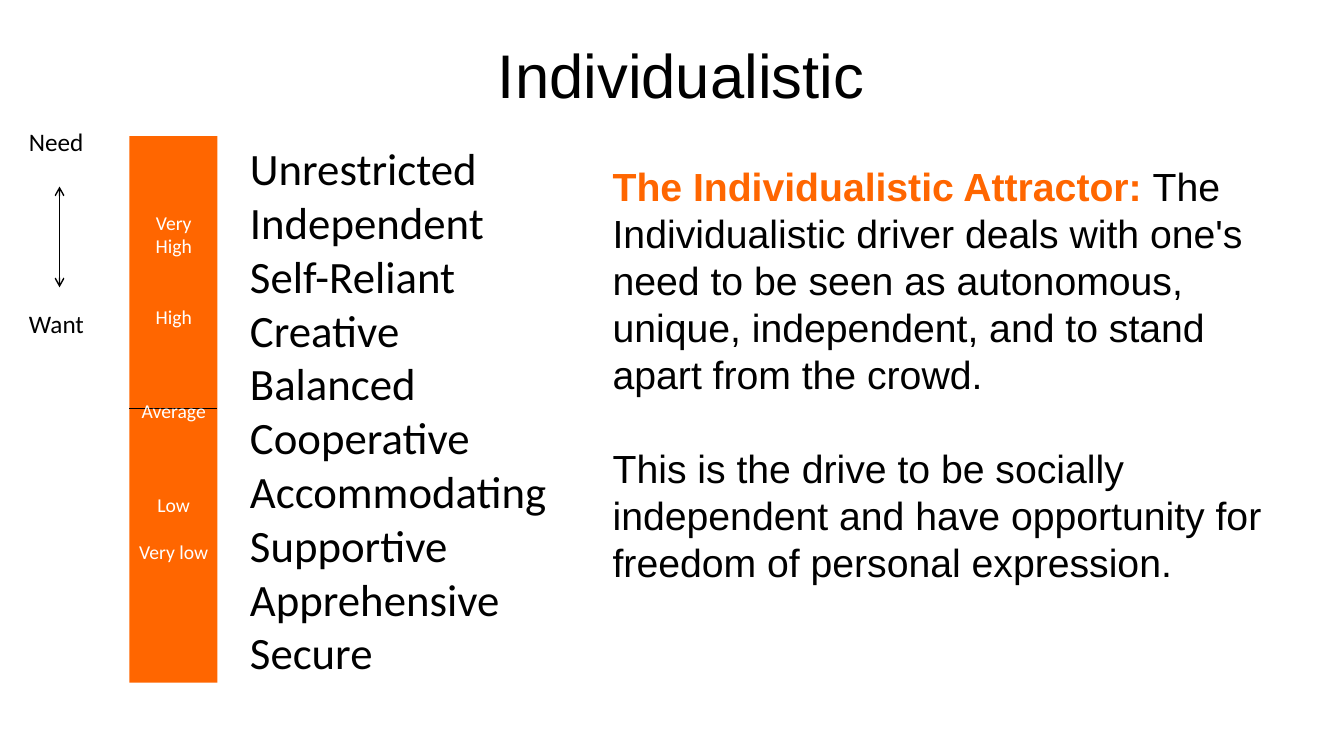
from lxml import etree
from pptx import Presentation
from pptx.dml.color import RGBColor
from pptx.enum.shapes import MSO_CONNECTOR as Connector, MSO_SHAPE as Shape
from pptx.enum.text import MSO_ANCHOR as Anchor, PP_ALIGN as Align
from pptx.oxml.ns import qn
from pptx.util import Cm, Pt

ORANGE = RGBColor(0xFF, 0x66, 0x00)
BLACK = RGBColor(0x00, 0x00, 0x00)
WHITE = RGBColor(0xFF, 0xFF, 0xFF)
TRAITS = ["Unrestricted", "Independent", "Self-Reliant", "Creative", "Balanced",
          "Cooperative", "Accommodating", "Supportive", "Apprehensive", "Secure"]
LEVELS = ["Very High", "High", "Average", "Low", "Very low"]
LEVEL_GAPS = [0, 2, 3, 3, 1]
DESCRIPTION = [
    [("The Individualistic Attractor: ", True),
     ("The Individualistic driver deals with one's need to be seen as autonomous, "
      "unique, independent, and to stand apart from the crowd.", False)],
    [("This is the drive to be socially independent and have opportunity for "
      "freedom of personal expression.", False)],
]


class SlideBuilder:
    heading_font = "Arial"
    label_font = "Calibri"
    line_pitch = 1.2

    def __init__(self, presentation):
        self.slide = presentation.slides.add_slide(presentation.slide_layouts[5])

    def style(self, paragraph, name, size, color, align=Align.LEFT):
        paragraph.alignment = align
        paragraph.font.name = name
        paragraph.font.size = Pt(size)
        paragraph.font.color.rgb = color

    def title(self, text, left, top, width, height):
        shape = self.slide.shapes.title
        shape.left, shape.top, shape.width, shape.height = map(Cm, (left, top, width, height))
        frame = shape.text_frame
        frame.text = text
        frame.word_wrap = False
        frame.vertical_anchor = Anchor.TOP
        self.style(frame.paragraphs[0], self.heading_font, 44, BLACK, Align.CENTER)

    def text_box(self, left, top, width, height, wrap):
        shape = self.slide.shapes.add_textbox(*map(Cm, (left, top, width, height)))
        shape.text_frame.word_wrap = wrap
        return shape.text_frame

    def labels(self, texts, left, top, width, height, size, color=BLACK,
               align=Align.LEFT, gaps=None, wrap=False):
        frame = self.text_box(left, top, width, height, wrap)
        frame.text = "\n".join(texts)
        for paragraph, gap in zip(frame.paragraphs, gaps or [0] * len(texts)):
            self.style(paragraph, self.label_font, size, color, align)
            if gap:
                paragraph.space_before = Pt(gap * size * self.line_pitch)

    def description(self, paragraphs, left, top, width, height, size):
        frame = self.text_box(left, top, width, height, True)
        for index, runs in enumerate(paragraphs):
            paragraph = frame.add_paragraph() if index else frame.paragraphs[0]
            self.style(paragraph, self.heading_font, size, BLACK)
            if index:
                paragraph.space_before = Pt(size * self.line_pitch)
            for text, highlighted in runs:
                run = paragraph.add_run()
                run.text = text
                if highlighted:
                    run.font.bold = True
                    run.font.color.rgb = ORANGE

    def bar(self, left, top, width, height):
        shape = self.slide.shapes.add_shape(
            Shape.RECTANGLE, *map(Cm, (left, top, width, height)))
        shape.shadow.inherit = False
        shape.fill.solid()
        shape.fill.fore_color.rgb = ORANGE
        shape.line.fill.background()

    def line(self, x1, y1, x2, y2, arrows=False):
        connector = self.slide.shapes.add_connector(
            Connector.STRAIGHT, *map(Cm, (x1, y1, x2, y2)))
        connector.line.color.rgb = BLACK
        connector.line.width = Pt(1)
        if arrows:
            outline = connector.line._get_or_add_ln()
            for end in ("a:headEnd", "a:tailEnd"):
                etree.SubElement(outline, qn(end), type="arrow")
        etree.SubElement(connector._element.spPr, qn("a:effectLst"))


def main():
    presentation = Presentation()
    presentation.slide_width = Cm(33.87)
    presentation.slide_height = Cm(19.05)
    builder = SlideBuilder(presentation)
    builder.title("Individualistic", 12.24, 0.81, 9.86, 2.13)
    builder.bar(3.26, 3.43, 2.22, 13.77)
    builder.line(3.26, 10.29, 5.48, 10.29)
    builder.labels(TRAITS, 6.05, 3.43, 8.08, 13.94, 32)
    builder.labels(LEVELS, 3.2, 5.18, 2.36, 8.64, 14, WHITE, Align.CENTER,
                   LEVEL_GAPS, True)
    builder.labels(["Need", "Want"], 0.48, 3.07, 1.93, 5.64, 18, gaps=[0, 5])
    builder.line(1.5, 4.7, 1.5, 7.24, arrows=True)
    builder.description(DESCRIPTION, 15.19, 3.96, 17.83, 11.02, 28)
    presentation.save("out.pptx")


if __name__ == "__main__":
    main()
